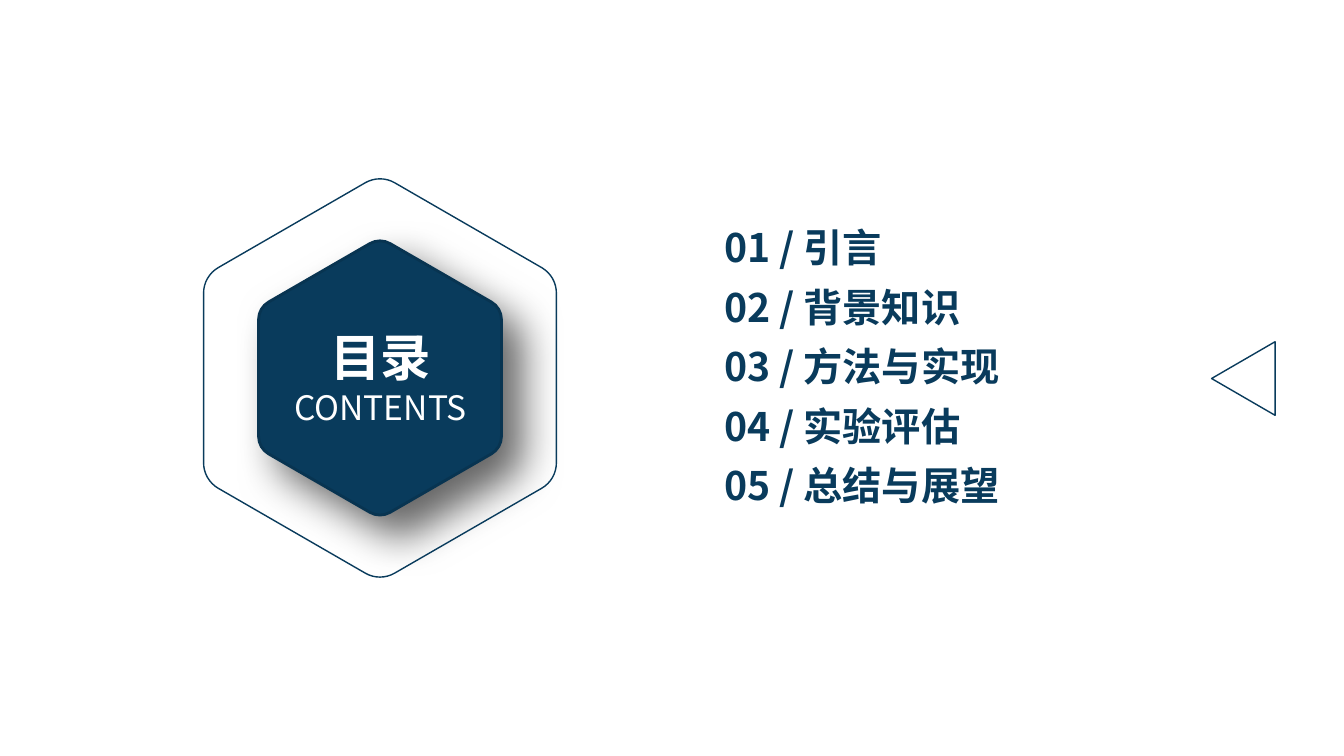
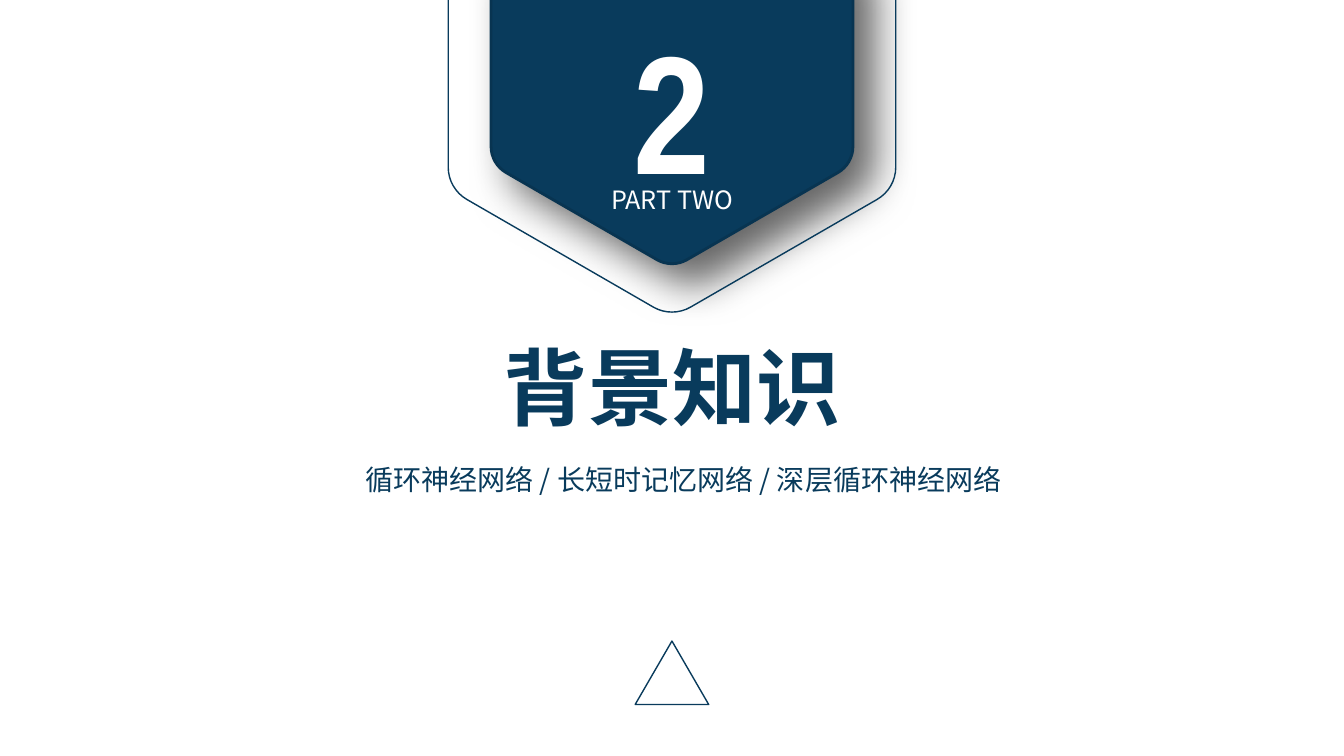
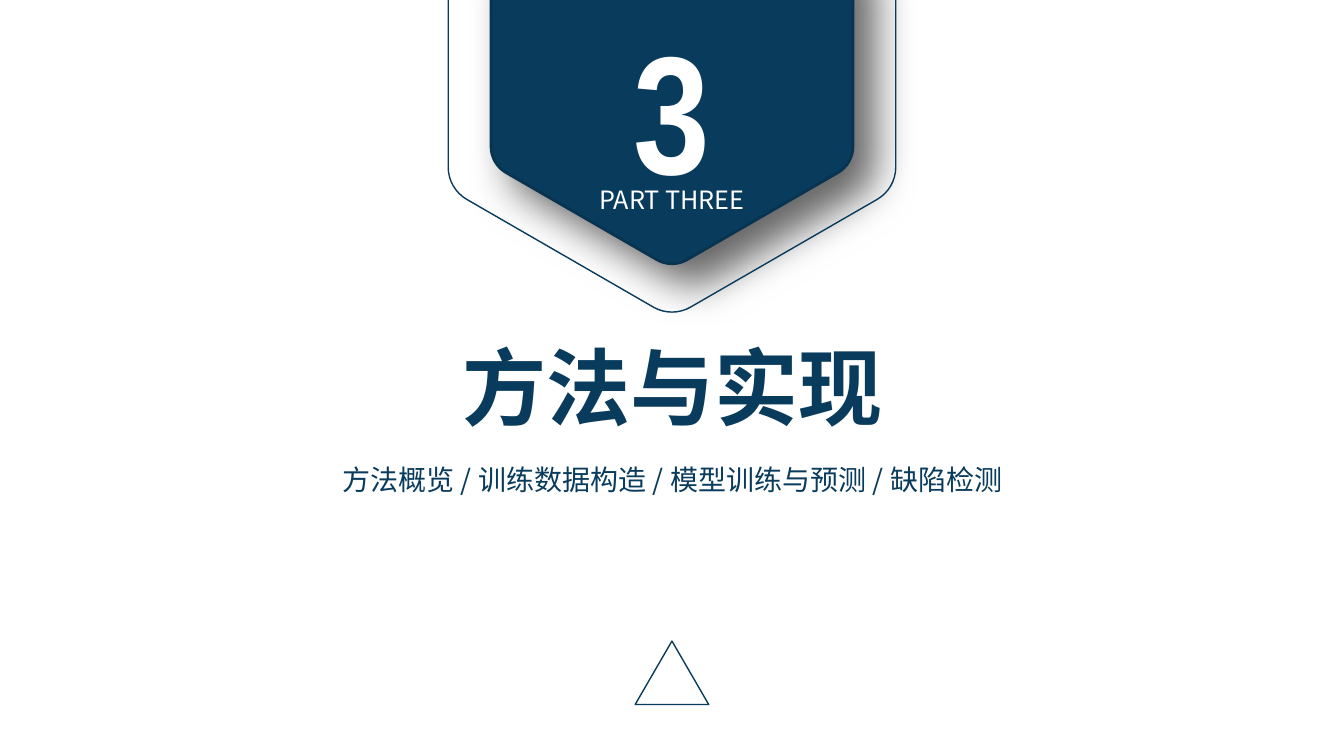
import math
from dataclasses import dataclass

import pptx
import pptx.dml.color
import pptx.enum.shapes
import pptx.enum.text
import pptx.oxml
import pptx.oxml.ns
import pptx.util

# Content
CONTENTS_TITLE = ("目录", "CONTENTS")
SECTIONS = [  # name, width of its menu line
    ("引言", 316), ("背景知识", 471), ("方法与实现", 452), ("实验评估", 342), ("总结与展望", 342),
]
DIVIDERS = [
    {"number": 2, "label": "PART TWO", "title_width": 642, "topics_box": (205, 952),
     "topics": "循环神经网络 / 长短时记忆网络 / 深层循环神经网络 "},
    {"number": 3, "label": "PART THREE", "title_width": 872, "topics_box": (293, 748),
     "topics": "方法概览 / 训练数据构造 / 模型训练与预测 / 缺陷检测"},
]


@dataclass(frozen=True)
class Theme:
    navy: str = "093B5C"
    edge: str = "083451"
    white: str = "FFFFFF"
    font: str = "Noto Sans CJK SC"
    number_font: str = "Arial Narrow"
    number: int = 120
    title: int = 60
    contents: int = 36
    menu: int = 28
    contents_label: int = 24
    topics: int = 20
    part_label: int = 18


THEME = Theme()

# Geometry in px, 100 to the inch
SCALE = 9144
SLIDE_SIZE = (12192000, 6858000)
CENTER = SLIDE_SIZE[0] / SCALE / 2
MENU_LEFT, MENU_TOP, MENU_STEP = 709, 217, 59
TRIANGLE_WIDTH, TRIANGLE_HEIGHT = 73, 63
CORNER_SHARE = 1 / 12  # part of a hexagon side taken by each rounded corner
ARC_HANDLE = 4 / 3 * math.tan(math.radians(15)) * math.sqrt(3)  # for a 60° arc


def emu(pixels):
    return pptx.util.Emu(round(pixels * SCALE))


def color(value):
    return pptx.dml.color.RGBColor.from_string(value)


def add_text(slide, left, top, width, height, lines, centered=True):
    """Each line is (text, size, color, bold, font)."""
    box = slide.shapes.add_textbox(*map(emu, (left, top, width, height)))
    frame = box.text_frame
    frame.word_wrap = True
    frame.auto_size = pptx.enum.text.MSO_AUTO_SIZE.SHAPE_TO_FIT_TEXT
    for index, (text, size, text_color, bold, font) in enumerate(lines):
        paragraph = frame.add_paragraph() if index else frame.paragraphs[0]
        if centered:
            paragraph.alignment = pptx.enum.text.PP_ALIGN.CENTER
        run = paragraph.add_run()
        run.text = text
        run.font.size = pptx.util.Pt(size)
        run.font.bold = bold
        run.font.color.rgb = color(text_color)
        run.font.name = font
        east_asian = pptx.oxml.parse_xml(
            f'<a:ea {pptx.oxml.ns.nsdecls("a")} typeface="{font}"/>')
        run.font._element.find(pptx.oxml.ns.qn("a:latin")).addnext(east_asian)


def set_outline(shape, line_color, points):
    shape.shadow.inherit = False
    shape.fill.background()
    shape.line.color.rgb = color(line_color)
    shape.line.width = pptx.util.Pt(points)


def hexagon_points(center_x, center_y, width):
    """Per side: arc end, side middle, next arc start and two arc handles."""
    side = width / math.sqrt(3)
    corners = [(center_x + side * math.sin(math.radians(60 * corner)),
                center_y - side * math.cos(math.radians(60 * corner)))
               for corner in range(6)]
    handle_share = CORNER_SHARE * (1 - ARC_HANDLE)
    points = []
    for index, here in enumerate(corners):
        following, later = corners[(index + 1) % 6], corners[(index + 2) % 6]
        for start, end, share in ((here, following, CORNER_SHARE),
                                  (here, following, 1 / 2),
                                  (here, following, 1 - CORNER_SHARE),
                                  (here, following, 1 - handle_share),
                                  (following, later, handle_share)):
            points.append(tuple(emu(a + (b - a) * share) for a, b in zip(start, end)))
    return points + points[:1]


def add_hexagon(slide, center_x, center_y, width):
    points = hexagon_points(center_x, center_y, width)
    builder = slide.shapes.build_freeform(*points[0])
    builder.add_line_segments(points[1:], close=True)
    shape = builder.convert_to_shape()
    # Merge the last three of every five segments into one curve
    segments = list(shape._element.iter(pptx.oxml.ns.qn("a:lnTo")))
    for first in range(2, len(segments), 5):
        curve = pptx.oxml.parse_xml(f'<a:cubicBezTo {pptx.oxml.ns.nsdecls("a")}/>')
        segments[first].addprevious(curve)
        for segment in segments[first:first + 3]:
            curve.append(segment[0])
            segment.getparent().remove(segment)
    set_outline(shape, THEME.navy, 1)
    return shape


def add_badge(slide, center_x, center_y, inner_width, outer_width):
    inner = add_hexagon(slide, center_x, center_y, inner_width)
    set_outline(inner, THEME.edge, 2)
    inner.fill.solid()
    inner.fill.fore_color.rgb = color(THEME.navy)
    effects = inner._element.spPr.find(pptx.oxml.ns.qn("a:effectLst"))
    effects.append(pptx.oxml.parse_xml(
        f'<a:outerShdw {pptx.oxml.ns.nsdecls("a")} blurRad="{pptx.util.Pt(30)}" '
        f'dist="{pptx.util.Pt(20)}" dir="2700000" rotWithShape="0">'
        '<a:srgbClr val="000000"><a:alpha val="60000"/></a:srgbClr></a:outerShdw>'))
    add_hexagon(slide, center_x, center_y, outer_width)


def add_triangle(slide, left, top, rotation=0):
    triangle = slide.shapes.add_shape(
        pptx.enum.shapes.MSO_SHAPE.ISOSCELES_TRIANGLE,
        *map(emu, (left, top, TRIANGLE_WIDTH, TRIANGLE_HEIGHT)))
    triangle.rotation = rotation
    set_outline(triangle, THEME.navy, 1)


def build_contents(slide):
    # Numbered menu
    for index, (section, width) in enumerate(SECTIONS):
        line = (f"{index + 1:02d} / {section}", THEME.menu, THEME.navy, True, THEME.font)
        add_text(slide, MENU_LEFT, MENU_TOP + index * MENU_STEP, width, 57,
                 [line], centered=False)

    # Badge with heading
    add_badge(slide, 377, 375, 241, 350)
    heading, label = CONTENTS_TITLE
    add_text(slide, 256, 319, 243, 111, [
        (heading, THEME.contents, THEME.white, True, THEME.font),
        (label, THEME.contents_label, THEME.white, False, THEME.font)])
    add_triangle(slide, 1197, 344, 270)


def build_divider(slide, divider):
    def add_centered(text, top, width, height, size, text_color,
                     bold=False, font=THEME.font):
        add_text(slide, CENTER - width / 2, top, width, height,
                 [(text, size, text_color, bold, font)])

    # Section title and topics
    title, _ = SECTIONS[divider["number"] - 1]
    add_centered(title, 328, divider["title_width"], 111,
                 THEME.title, THEME.navy, bold=True)
    left, width = divider["topics_box"]
    add_text(slide, left, 454, width, 44,
             [(divider["topics"], THEME.topics, THEME.navy, False, THEME.font)])

    # Badge hanging from the top edge
    add_badge(slide, CENTER, 59, 359, 444)
    add_centered(str(divider["number"]), 2, 147, 212, THEME.number, THEME.white,
                 bold=True, font=THEME.number_font)
    add_centered(divider["label"], 178, 201, 40, THEME.part_label, THEME.white)
    add_triangle(slide, CENTER - TRIANGLE_WIDTH / 2, 636)


def main():
    presentation = pptx.Presentation()
    presentation.slide_width, presentation.slide_height = SLIDE_SIZE
    blank = presentation.slide_layouts[6]
    build_contents(presentation.slides.add_slide(blank))
    for divider in DIVIDERS:
        build_divider(presentation.slides.add_slide(blank), divider)
    presentation.save("out.pptx")


if __name__ == "__main__":
    main()
